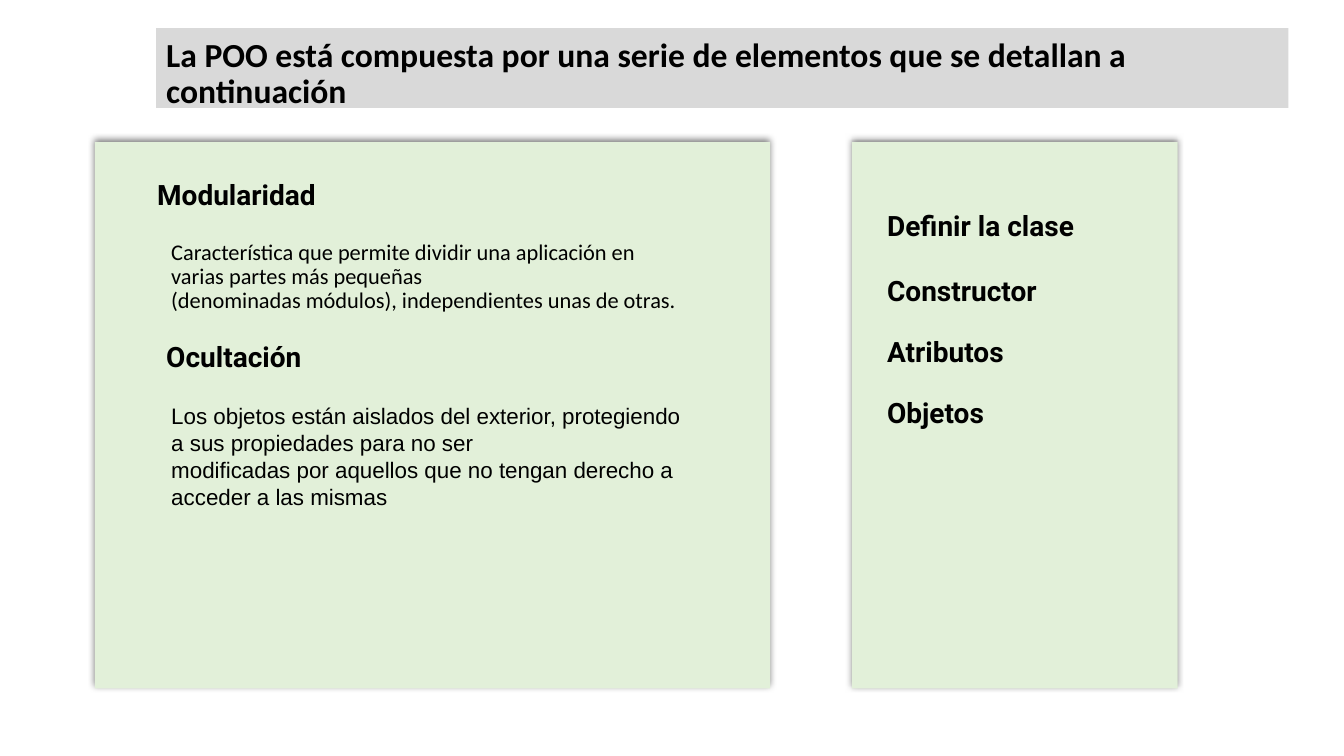
from lxml.etree import SubElement
from pptx import Presentation
from pptx.dml.color import RGBColor
from pptx.enum.shapes import MSO_SHAPE as Shape
from pptx.enum.text import MSO_ANCHOR as Anchor
from pptx.oxml.ns import qn
from pptx.util import Inches, Pt

BLACK = RGBColor(0x00, 0x00, 0x00)
GREEN = RGBColor(0xE2, 0xF0, 0xD9)
GREY = RGBColor(0xD9, 0xD9, 0xD9)

deck = Presentation()
deck.slide_width, deck.slide_height = Inches(13.33), Inches(7.5)
slide = deck.slides.add_slide(deck.slide_layouts[6])


def add_panel(left, top, width, height, color):
    panel = slide.shapes.add_shape(
        Shape.RECTANGLE, Inches(left), Inches(top), Inches(width), Inches(height))
    panel.fill.solid()
    panel.fill.fore_color.rgb = color
    panel.line.fill.background()
    panel.shadow.inherit = False
    return panel


def add_text(left, top, width, height, text, font, size, bold=False,
             inset=0.1, anchor=Anchor.TOP, indent=0, spacing=None):
    box = slide.shapes.add_textbox(
        Inches(left), Inches(top), Inches(width), Inches(height))
    frame = box.text_frame
    frame.word_wrap = True
    frame.vertical_anchor = anchor
    frame.margin_left = frame.margin_right = Inches(0.1)
    frame.margin_top = frame.margin_bottom = Inches(inset)
    frame.text = text
    for para in frame.paragraphs:
        para.line_spacing = spacing
        if indent:
            props = para._p.get_or_add_pPr()
            props.set("marL", str(Inches(indent)))
            props.set("indent", "0")
        for run in para.runs:
            run.font.name, run.font.size = font, Pt(size)
            run.font.bold = bold
            run.font.color.rgb = BLACK


# Green panels with a soft shadow along the top edge
for left, width in [(0.94, 6.7), (8.45, 3.23)]:
    panel = add_panel(left, 1.41, width, 5.42, GREEN)
    effects = panel._element.spPr.find(qn("a:effectLst"))
    shadow = SubElement(effects, qn("a:outerShdw"), blurRad=str(Pt(4.5)),
                        dist=str(Pt(1.5)), dir=str(274 * 60000),
                        algn="ctr", rotWithShape="0")
    tint = SubElement(shadow, qn("a:srgbClr"), val=str(BLACK))
    SubElement(tint, qn("a:alpha"), val="50000")

# Headings
heads = [
    (1.46, 1.66, 4.39, "Modularidad"),
    (1.55, 3.27, 4.39, "Ocultación"),
    (8.7, 1.97, 2.47, "Definir la clase"),
    (8.7, 2.62, 2.47, "Constructor"),
    (8.7, 3.22, 2.47, "Atributos"),
    (8.7, 3.83, 2.47, "Objetos"),
]
for left, top, width, text in heads:
    add_text(left, top, width, 0.53, text, "Roboto", 20, bold=True,
             anchor=Anchor.BOTTOM)

# Definitions
add_text(1.46, 2.29, 5.46, 1.32,
         "Característica que permite dividir una aplicación en varias partes "
         "más pequeñas\n"
         "(denominadas módulos), independientes unas de otras.",
         "Calibri", 16, indent=0.14, spacing=0.9)
add_text(1.46, 3.89, 5.45, 0.93,
         "Los objetos están aislados del exterior, protegiendo a sus "
         "propiedades para no ser\n"
         "modificadas por aquellos que no tengan derecho a acceder a las mismas",
         "Arial", 16, indent=0.14)

# Title band
add_panel(1.55, 0.28, 11.23, 0.79, GREY)
add_text(1.55, 0.33, 11.36, 0.74,
         "La POO está compuesta por una serie de elementos que se detallan a "
         "continuación",
         "Calibri", 24, bold=True, inset=0.05, spacing=0.9)

deck.save("out.pptx")
